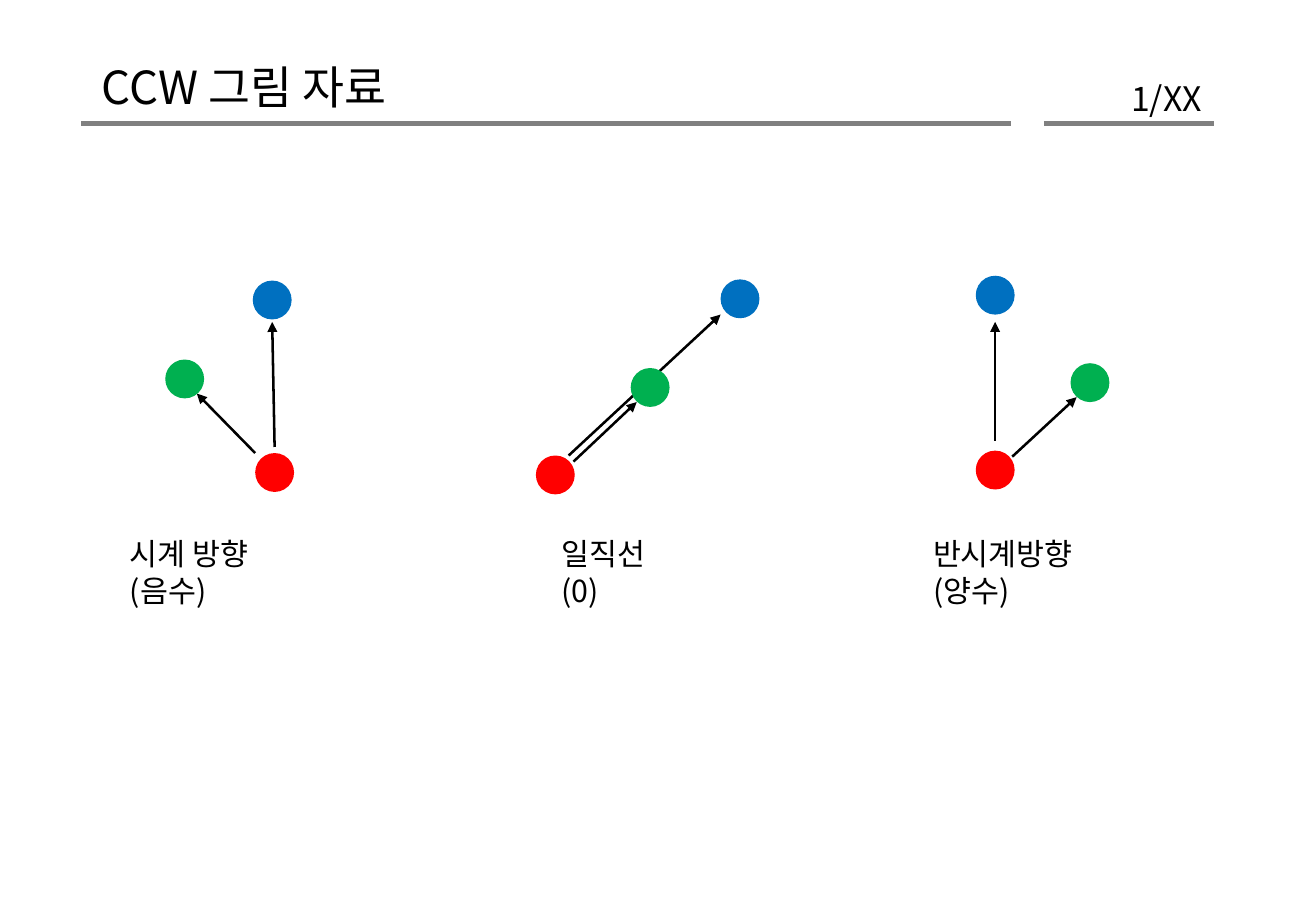
from dataclasses import dataclass

from lxml.etree import SubElement
from pptx import Presentation
from pptx.dml.color import RGBColor
from pptx.enum.shapes import MSO_CONNECTOR, MSO_SHAPE
from pptx.enum.text import MSO_ANCHOR, PP_ALIGN
from pptx.oxml.ns import qn
from pptx.util import Inches, Pt

TITLE = "CCW 그림 자료"
PAGE = "1/XX"

# Places are columns and rows of a one-inch grid; dots are given by their centres.
COLUMNS, ROWS = 10.83, 7.5
RULE_ROW = 1.02
RULES = [(0.67, 8.32), (8.59, 9.99)]
CAPTION_ROW = 4.36
DOT_SIZE = 0.32

DIAGRAMS = [
    {
        "caption": ("시계 방향", "(음수)"),
        "caption_column": 0.97,
        "caption_width": 1.88,
        "dots": {"red": (2.26, 3.89), "blue": (2.24, 2.47), "green": (1.52, 3.12)},
        "arrows": [((2.1, 3.73), (1.62, 3.24)), ((2.26, 3.68), (2.24, 2.65))],
    },
    {
        "caption": ("일직선", "(0)"),
        "caption_column": 4.52,
        "caption_width": 1.3,
        "dots": {"red": (4.57, 3.91), "blue": (6.09, 2.46), "green": (5.35, 3.19)},
        "arrows": [((4.68, 3.75), (5.93, 2.59)), ((4.72, 3.8), (5.24, 3.31))],
    },
    {
        "caption": ("반시계방향", "(양수)"),
        "caption_column": 7.58,
        "caption_width": 2.05,
        "dots": {"red": (8.19, 3.87), "blue": (8.19, 2.43), "green": (8.97, 3.15)},
        "arrows": [((8.33, 3.76), (8.86, 3.27)), ((8.19, 3.63), (8.19, 2.65))],
    },
]


@dataclass(frozen=True)
class Theme:
    font: str = "Noto Sans CJK KR"
    ink: str = "000000"
    rule: str = "808080"
    red: str = "FF0000"
    blue: str = "0070C0"
    green: str = "00B050"
    title_size: int = 27
    page_size: int = 20
    caption_size: int = 18
    rule_width: float = 3
    arrow_width: float = 1.5


THEME = Theme()


def add_text(shapes, text, box, size, anchor=MSO_ANCHOR.TOP,
             alignment=PP_ALIGN.LEFT, line_spacing=None):
    shape = shapes.add_textbox(*map(Inches, box))
    frame = shape.text_frame
    frame.word_wrap = True
    frame.vertical_anchor = anchor
    paragraph = frame.paragraphs[0]
    paragraph.text = text
    paragraph.alignment = alignment
    paragraph.line_spacing = line_spacing
    font = paragraph.font
    font.size = Pt(size)
    font.color.rgb = RGBColor.from_string(THEME.ink)
    font.name = THEME.font
    properties = paragraph._p.pPr.find(qn("a:defRPr"))
    SubElement(properties, qn("a:ea"), typeface=THEME.font)


def add_line(shapes, start, end, color, width, arrow=False):
    line = shapes.add_connector(
        MSO_CONNECTOR.STRAIGHT, *map(Inches, (*start, *end)))
    line.line.color.rgb = RGBColor.from_string(color)
    line.line.width = Pt(width)
    if arrow:
        SubElement(line.line._get_or_add_ln(), qn("a:tailEnd"), type="triangle")
    SubElement(line._element.spPr, qn("a:effectLst"))


def add_dot(shapes, center, color):
    left, top = (Inches(place - DOT_SIZE / 2) for place in center)
    dot = shapes.add_shape(
        MSO_SHAPE.OVAL, left, top, Inches(DOT_SIZE), Inches(DOT_SIZE))
    dot.shadow.inherit = False
    dot.fill.solid()
    dot.fill.fore_color.rgb = RGBColor.from_string(color)
    dot.line.fill.background()


def add_diagram(slide, diagram):
    shapes = slide.shapes.add_group_shape().shapes
    box = (diagram["caption_column"], CAPTION_ROW, diagram["caption_width"], 0.4)
    add_text(shapes, "\v".join(diagram["caption"]), box, THEME.caption_size)
    for start, end in diagram["arrows"]:
        add_line(shapes, start, end, THEME.ink, THEME.arrow_width, arrow=True)
    for name, center in diagram["dots"].items():
        add_dot(shapes, center, getattr(THEME, name))


def main():
    presentation = Presentation()
    presentation.slide_width = Inches(COLUMNS)
    presentation.slide_height = Inches(ROWS)
    slide = presentation.slides.add_slide(presentation.slide_layouts[6])

    for left, right in RULES:
        add_line(slide.shapes, (left, RULE_ROW), (right, RULE_ROW),
                 THEME.rule, THEME.rule_width)
    add_text(slide.shapes, PAGE, (7.55, 0.61, 2.44, 0.4), THEME.page_size,
             MSO_ANCHOR.MIDDLE, PP_ALIGN.RIGHT)
    add_text(slide.shapes, TITLE, (0.74, 0.46, 7.58, 0.55), THEME.title_size,
             MSO_ANCHOR.MIDDLE, line_spacing=0.9)
    for diagram in DIAGRAMS:
        add_diagram(slide, diagram)

    presentation.save("out.pptx")


if __name__ == "__main__":
    main()
